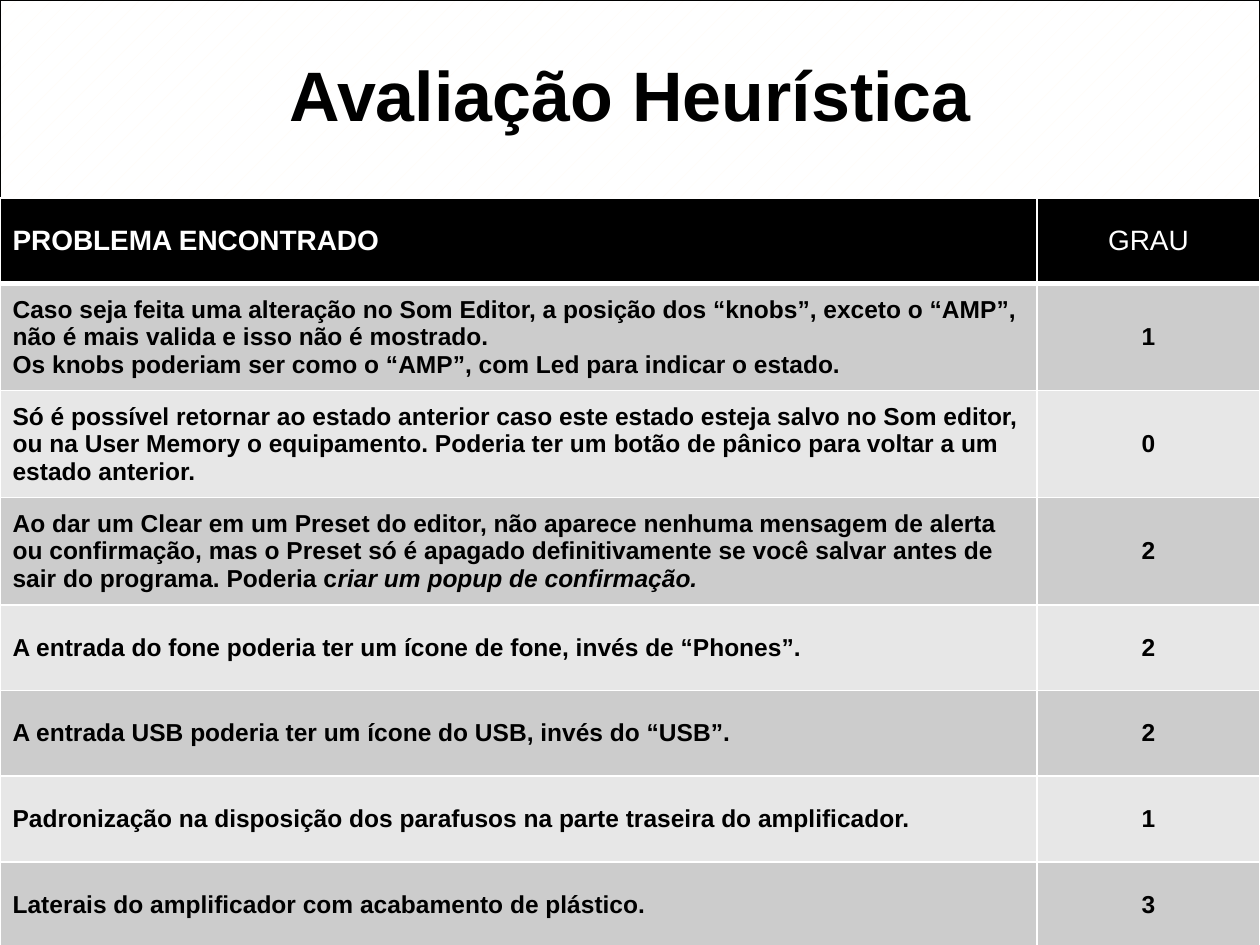
from lxml import etree
from pptx import Presentation
from pptx.dml.color import RGBColor
from pptx.enum import dml, shapes, text
from pptx.oxml.ns import qn
from pptx.util import Inches, Pt

BLACK, WHITE = "000000", "FFFFFF"
BANDS = ("CCCCCC", "E7E7E7")
TABLE_TOP = 1.57
COLUMN_WIDTHS = (8.23, 1.77)
SHORT_ROW, TALL_ROW = 0.68, 0.85

# Each problem is a list of paragraphs; a paragraph is a list of (text, italic) runs
PROBLEMS = [
    ([[("Caso seja feita uma alteração no Som Editor, a posição dos “knobs”, exceto o “AMP”, "
        "não é mais valida e isso não é mostrado.", False)],
      [("Os knobs poderiam ser como o “AMP”, com Led para indicar o estado.", False)]],
     "1", TALL_ROW),
    ([[("Só é possível retornar ao estado anterior caso este estado esteja salvo no Som editor, "
        "ou na User Memory o equipamento. Poderia ter um botão de pânico para voltar a um "
        "estado anterior.", False)]], "0", TALL_ROW),
    ([[("Ao dar um Clear em um Preset do editor, não aparece nenhuma mensagem de alerta "
        "ou confirmação, mas o Preset só é apagado definitivamente se você salvar antes de "
        "sair do programa. Poderia c", False),
       ("riar um popup de confirmação.", True)]], "2", TALL_ROW),
    ([[("A entrada do fone poderia ter um ícone de fone, invés de “Phones”.", False)]],
     "2", SHORT_ROW),
    ([[("A entrada USB poderia ter um ícone do USB, invés do “USB”.", False)]],
     "2", SHORT_ROW),
    ([[("Padronização na disposição dos parafusos na parte traseira do amplificador.", False)]],
     "1", SHORT_ROW),
    ([[("Laterais do amplificador com acabamento de plástico.", False)]], "3", SHORT_ROW),
]


def color(hex_code):
    return RGBColor.from_string(hex_code)


def style_font(font, size, hex_code, bold=True, italic=False):
    font.name = "Arial"
    font.size = Pt(size)
    font.color.rgb = color(hex_code)
    font.bold = bold
    font.italic = italic


def add_title(slide, words):
    banner = slide.shapes.add_shape(
        shapes.MSO_SHAPE.RECTANGLE, 0, 0, Inches(10), Inches(TABLE_TOP))
    banner.shadow.inherit = False
    banner.fill.patterned()
    banner.fill.pattern = dml.MSO_PATTERN.PERCENT_5
    banner.fill.fore_color.rgb = color("FFFBF4")
    banner.fill.back_color.rgb = color(WHITE)
    banner.line.color.rgb = color(BLACK)
    banner.line.width = Pt(0.75)
    frame = banner.text_frame
    frame.text = words
    frame.vertical_anchor = text.MSO_ANCHOR.MIDDLE
    heading = frame.paragraphs[0]
    heading.alignment = text.PP_ALIGN.CENTER
    heading.line_spacing = 0.9
    style_font(heading.runs[0].font, 40, BLACK)


def set_borders(cell, bottom_width):
    """Draw white edges; they must come before the fill in the cell properties."""
    properties = cell._tc.get_or_add_tcPr()
    widths = {"a:lnL": 1, "a:lnR": 1, "a:lnT": 1, "a:lnB": bottom_width}
    for position, (edge, width) in enumerate(widths.items()):
        line = etree.Element(qn(edge), w=str(Pt(width)))
        fill = etree.SubElement(line, qn("a:solidFill"))
        etree.SubElement(fill, qn("a:srgbClr"), val=WHITE)
        properties.insert(position, line)


def fill_cell(cell, paragraphs, background, size=14, ink=BLACK, bold=True,
              centered=False, bottom_width=1):
    cell.fill.solid()
    cell.fill.fore_color.rgb = color(background)
    cell.vertical_anchor = text.MSO_ANCHOR.MIDDLE
    set_borders(cell, bottom_width)
    frame = cell.text_frame
    for index, runs in enumerate(paragraphs):
        paragraph = frame.add_paragraph() if index else frame.paragraphs[0]
        paragraph.alignment = text.PP_ALIGN.CENTER if centered else text.PP_ALIGN.LEFT
        for words, italic in runs:
            run = paragraph.add_run()
            run.text = words
            style_font(run.font, size, ink, bold, italic)


def add_problem_table(slide):
    heights = [SHORT_ROW] + [height for _, _, height in PROBLEMS]
    table = slide.shapes.add_table(
        len(heights), len(COLUMN_WIDTHS), 0, Inches(TABLE_TOP),
        Inches(sum(COLUMN_WIDTHS)), Inches(sum(heights))).table
    for column, width in zip(table.columns, COLUMN_WIDTHS):
        column.width = Inches(width)
    for row, height in zip(table.rows, heights):
        row.height = Inches(height)

    # Header row
    for column, words in enumerate(("PROBLEMA ENCONTRADO", "GRAU")):
        fill_cell(table.cell(0, column), [[(words, False)]], BLACK, 16, WHITE,
                  bold=column == 0, centered=column == 1, bottom_width=3)

    # Problems with their severity grade, in alternating bands
    for row, (problem, grade, _) in enumerate(PROBLEMS, start=1):
        band = BANDS[(row - 1) % 2]
        fill_cell(table.cell(row, 0), problem, band)
        fill_cell(table.cell(row, 1), [[(grade, False)]], band, centered=True)


def main():
    deck = Presentation()
    deck.slide_width, deck.slide_height = Inches(10), Inches(7.5)
    slide = deck.slides.add_slide(deck.slide_layouts[6])
    add_title(slide, "Avaliação Heurística")
    add_problem_table(slide)
    deck.save("out.pptx")


if __name__ == "__main__":
    main()
